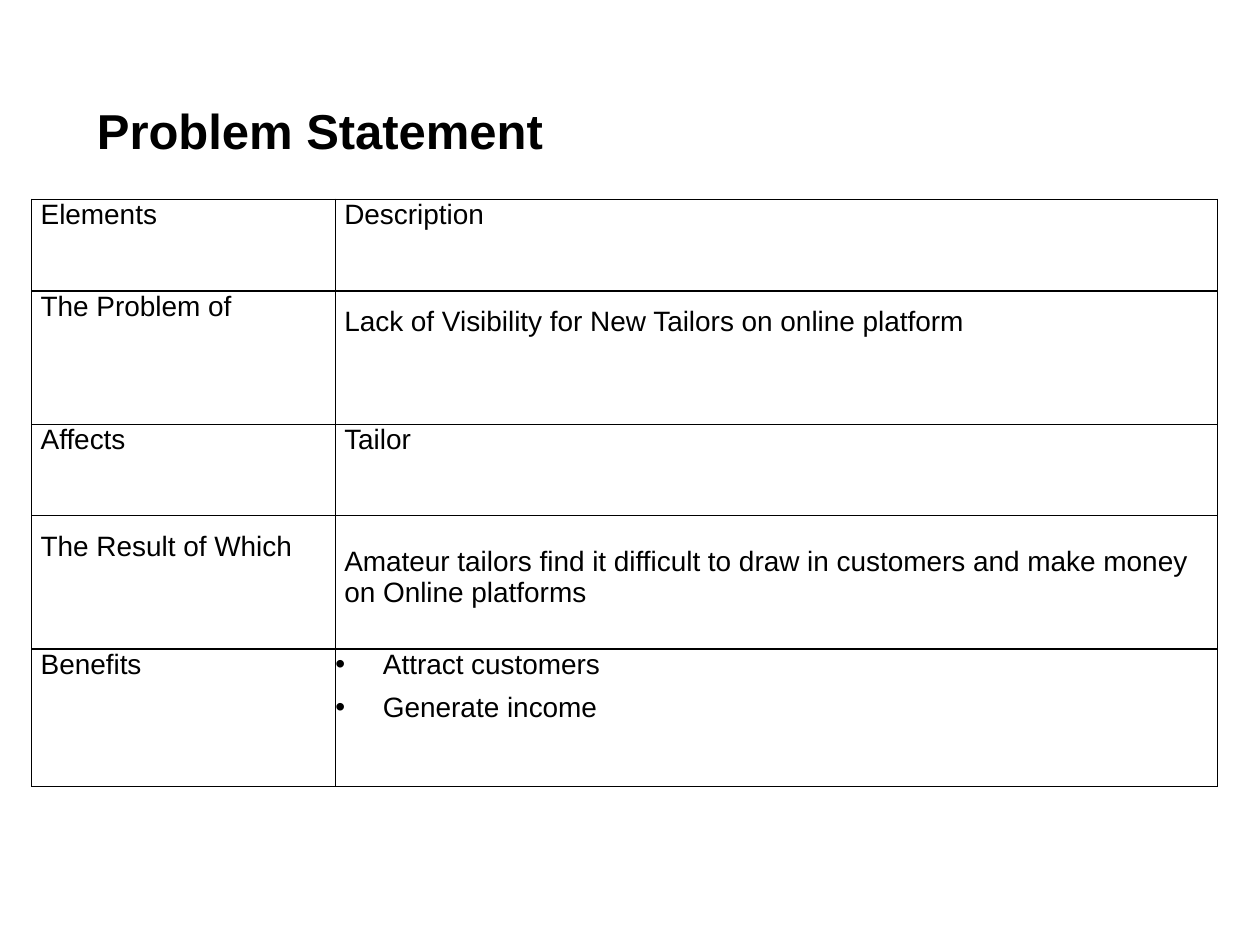
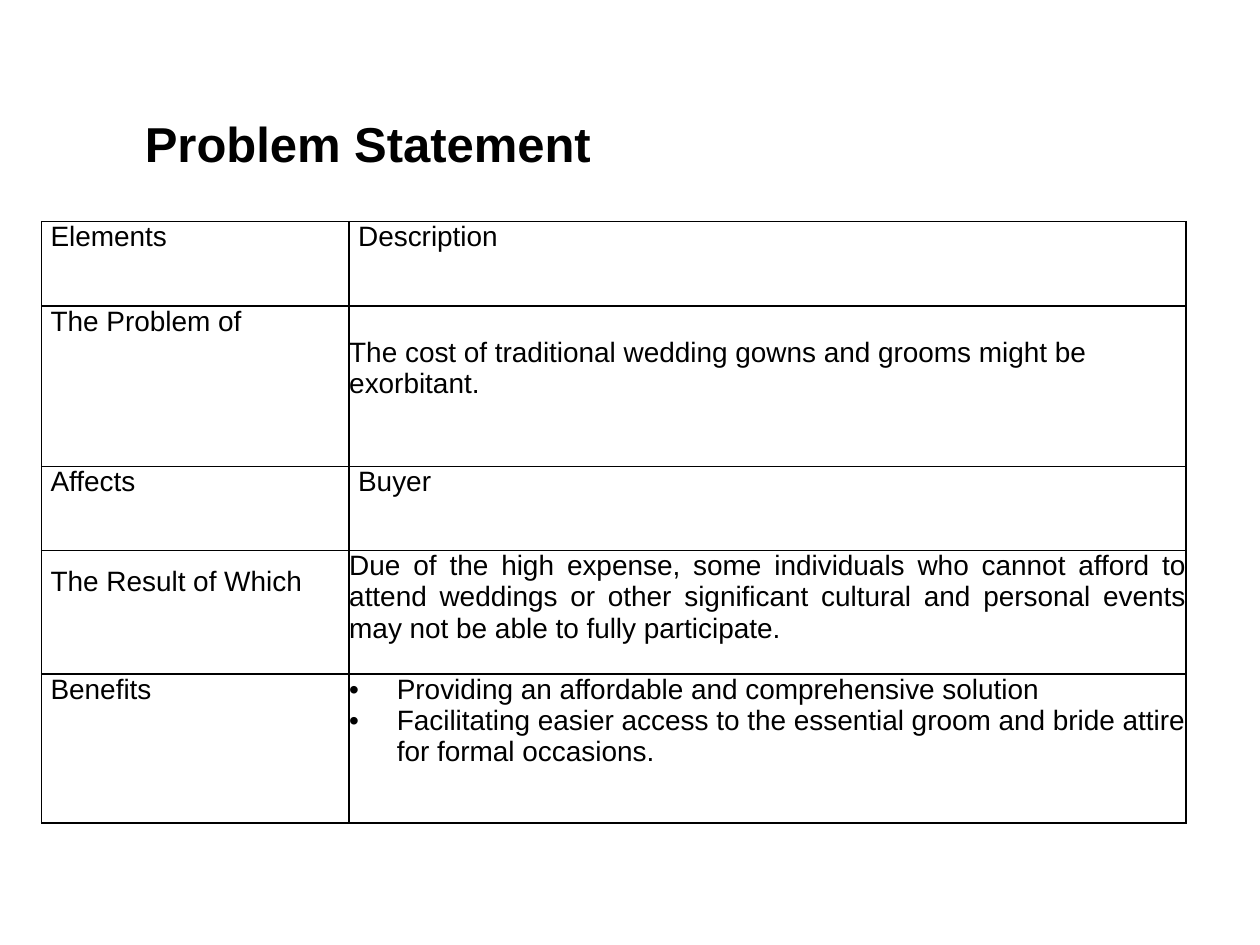
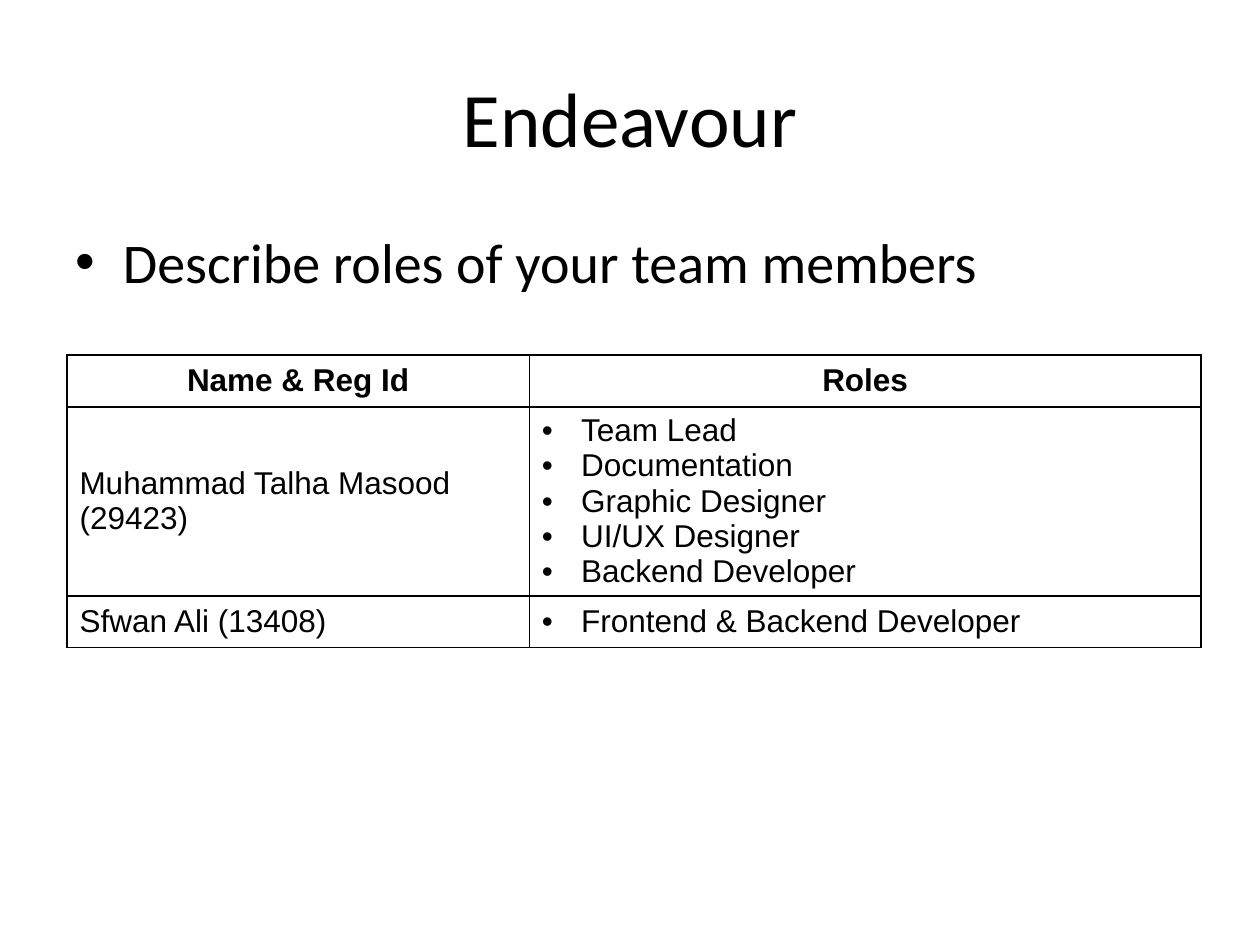
"""Builds three project slides: two problem statements and the team roles."""
from pptx import Presentation
from pptx.dml.color import RGBColor
from pptx.enum.text import MSO_ANCHOR as Anchor, MSO_AUTO_SIZE as AutoSize, PP_ALIGN as Align
from pptx.oxml import parse_xml
from pptx.oxml.ns import nsdecls
from pptx.util import Cm, Pt

COLORS = {"ink": "000000", "paper": "FFFFFF"}
TABLE_FONT = "Arial"

STYLES = {
    "label": dict(align=Align.JUSTIFY, indent=0.18),
    "airy": dict(align=Align.JUSTIFY, indent=0.18, line=1.5),
    "lowered": dict(align=Align.JUSTIFY, indent=0.18, top=0.63),
    "flush lowered": dict(align=Align.LEFT, top=0.63),
    "flush": dict(align=Align.JUSTIFY),
    "spaced bullets": dict(align=Align.JUSTIFY, indent=0.96, bullet=True, before=6.8),
    "bullets": dict(align=Align.LEFT, indent=0.96, bullet=True),
    "header": dict(align=Align.CENTER, bold=True),
    "member": dict(align=Align.LEFT),
    "roles": dict(align=Align.LEFT, indent=0.79, bullet=True),
}

ELEMENTS = [
    ("label", ["Elements"]),
    ("label", ["The Problem of"]),
    ("label", ["Affects"]),
    ("airy", ["The Result of Which"]),
    ("label", ["Benefits"]),
]

TAILOR = [
    ("label", ["Description"]),
    ("airy", ["Lack of Visibility for New Tailors on online platform"]),
    ("label", ["Tailor"]),
    ("lowered", ["Amateur tailors find it difficult to draw in customers and make money",
                 "on Online platforms"]),
    ("spaced bullets", ["Attract customers", "Generate income"]),
]

BUYER = [
    ("label", ["Description"]),
    ("flush lowered", ["The cost of traditional wedding gowns and grooms might be exorbitant."]),
    ("label", ["Buyer"]),
    ("flush", ["Due of the high expense, some individuals who cannot afford to attend weddings "
               "or other significant cultural and personal events may not be able to fully "
               "participate."]),
    ("bullets", ["Providing an affordable and comprehensive solution",
                 "Facilitating easier access to the essential groom and bride attire "
                 "for formal occasions."]),
]

TEAM = [
    [("header", ["Name & Reg Id"]), ("header", ["Roles"])],
    [("member", ["Muhammad Talha Masood (29423)"]),
     ("roles", ["Team Lead", "Documentation", "Graphic Designer", "UI/UX Designer",
                "Backend Developer"])],
    [("member", ["Sfwan Ali (13408)"]), ("roles", ["Frontend & Backend Developer"])],
]

STATEMENTS = [
    dict(title_box=(1.7, 1.9, 9.73, 1.45), align=Align.LEFT, anchor=Anchor.TOP,
         rows=list(zip(ELEMENTS, TAILOR)), corner=(0.64, 4.02),
         widths=(6.12, 17.78), heights=(1.85, 2.69, 1.83, 2.69, 2.77)),
    dict(title_box=(0.43, 1.3, 13.97, 3.18), align=Align.CENTER, anchor=Anchor.MIDDLE,
         rows=list(zip(ELEMENTS, BUYER)), corner=(0.84, 4.47),
         widths=(6.2, 16.87), heights=(1.7, 3.23, 1.7, 2.49, 3.0)),
]
TEAM_TABLE = dict(corner=(1.35, 7.16), widths=(9.32, 13.54), heights=(1.04, 3.81, 1.04))


def color(name):
    return RGBColor.from_string(COLORS[name])


def add_span(para, text, size, font, bold=False):
    span = para.add_run()
    span.text = text
    span.font.size = Pt(size)
    span.font.name = font
    span.font.bold = bold
    span.font.color.rgb = color("ink")


def format_para(para, align, indent=0, bullet=False, before=0, line=None):
    para.alignment = align
    para.space_before = Pt(before)
    if line:
        para.line_spacing = line
    props = para._p.get_or_add_pPr()
    props.set("marL", str(Cm(indent)))
    if bullet:
        props.set("indent", str(-Cm(indent)))
        props.append(parse_xml(f'<a:buFont {nsdecls("a")} typeface="Arial"/>'))
        props.append(parse_xml(f'<a:buChar {nsdecls("a")} char="•"/>'))


def add_borders(cell):
    props = cell._tc.get_or_add_tcPr()
    for side in ("lnL", "lnR", "lnT", "lnB"):
        props.append(parse_xml(
            f'<a:{side} {nsdecls("a")} w="{Pt(1)}"><a:solidFill>'
            f'<a:srgbClr val="{COLORS["ink"]}"/></a:solidFill></a:{side}>'))


def fill_cell(cell, style_name, texts, size, padded):
    style = dict(STYLES[style_name])
    bold, top = style.pop("bold", False), style.pop("top", 0)
    if padded:
        cell.vertical_anchor = Anchor.MIDDLE
    else:
        cell.margin_left = cell.margin_right = cell.margin_bottom = 0
        cell.margin_top = Cm(top)
    add_borders(cell)
    cell.fill.solid()
    cell.fill.fore_color.rgb = color("paper")
    for number, text in enumerate(texts):
        frame = cell.text_frame
        para = frame.add_paragraph() if number else frame.paragraphs[0]
        format_para(para, **style)
        add_span(para, text, size, TABLE_FONT, bold)


def add_grid(page, rows, corner, widths, heights, size, padded=False):
    lengths = (*corner, sum(widths), sum(heights))
    table = page.shapes.add_table(len(heights), len(widths), *map(Cm, lengths)).table
    table.first_row = table.horz_banding = False
    for column, width in zip(table.columns, widths):
        column.width = Cm(width)
    for row, height, contents in zip(table.rows, heights, rows):
        row.height = Cm(height)
        for cell, (style_name, texts) in zip(row.cells, contents):
            fill_cell(cell, style_name, texts, size, padded)


def write_title(page, text, box, size, font, align=Align.CENTER, anchor=Anchor.MIDDLE, bold=False):
    title = page.shapes.title
    title.left, title.top, title.width, title.height = map(Cm, box)
    frame = title.text_frame
    frame.auto_size = AutoSize.NONE
    frame.vertical_anchor = anchor
    frame.paragraphs[0].alignment = align
    add_span(frame.paragraphs[0], text, size, font, bold)


def add_statement(deck, title_box, align, anchor, **grid):
    page = deck.slides.add_slide(deck.slide_layouts[5])
    write_title(page, "Problem Statement", title_box, 28, "Arial", align, anchor, bold=True)
    add_grid(page, size=16, **grid)


def add_team(deck):
    page = deck.slides.add_slide(deck.slide_layouts[1])
    write_title(page, "Endeavour", (1.27, 0.76, 22.86, 3.18), 44, "Calibri")
    body = page.placeholders[1]
    body.left, body.top, body.width, body.height = map(Cm, (1.27, 4.45, 22.86, 12.57))
    add_span(body.text_frame.paragraphs[0], "Describe roles of your team members", 32, "Calibri")
    add_grid(page, TEAM, size=18, padded=True, **TEAM_TABLE)


def main():
    deck = Presentation()
    deck.slide_width, deck.slide_height = Cm(25.4), Cm(19.05)
    for statement in STATEMENTS:
        add_statement(deck, **statement)
    add_team(deck)
    deck.save("out.pptx")


if __name__ == "__main__":
    main()
